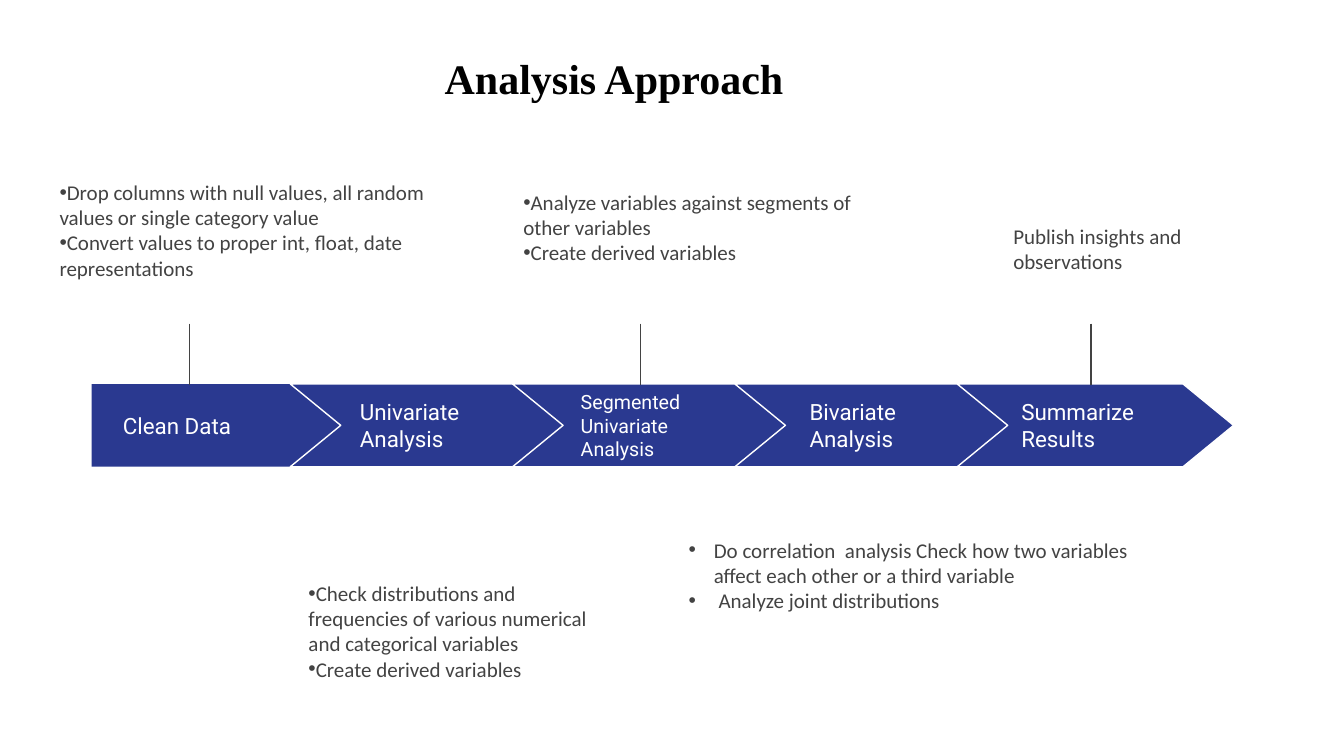
from lxml.etree import SubElement
from pptx import Presentation
from pptx.dml.color import RGBColor
from pptx.enum.shapes import MSO_CONNECTOR
from pptx.enum.text import MSO_ANCHOR, MSO_AUTO_SIZE, PP_ALIGN
from pptx.oxml.ns import qn
from pptx.util import Inches, Pt

COLORS = {
    "title": "000000",
    "body": "434343",
    "chevron": "2A3990",
    "white": "FFFFFF",
}


class ProcessSlide:
    title_font = "Times New Roman"
    body_font = "Calibri"
    label_font = "Roboto"
    band_top = 3.81
    band_height = 0.82
    point = 0.5

    def __init__(self, presentation):
        self.slide = presentation.slides.add_slide(presentation.slide_layouts[5])

    def color(self, name):
        return RGBColor.from_string(COLORS[name])

    def set_frame(self, shape, anchor):
        frame = shape.text_frame
        frame.word_wrap = True
        frame.auto_size = MSO_AUTO_SIZE.NONE
        frame.vertical_anchor = anchor
        frame.margin_left = frame.margin_right = 0
        frame.margin_top = frame.margin_bottom = 0
        return frame

    def format_paragraph(self, paragraph, font_name, size, color, bold=False):
        paragraph.alignment = PP_ALIGN.LEFT
        for run in paragraph.runs:
            run.font.name = font_name
            run.font.size = Pt(size)
            run.font.bold = bold
            run.font.color.rgb = self.color(color)

    def add_title(self, text, left, top, width, height):
        title = self.slide.shapes.title
        title.left, title.top = Inches(left), Inches(top)
        title.width, title.height = Inches(width), Inches(height)
        frame = self.set_frame(title, MSO_ANCHOR.MIDDLE)
        frame.text = text
        self.format_paragraph(frame.paragraphs[0], self.title_font, 30, "title", True)

    def add_text(self, left, top, width, height):
        box = self.slide.shapes.add_textbox(
            Inches(left), Inches(top), Inches(width), Inches(height)
        )
        return self.set_frame(box, MSO_ANCHOR.TOP)

    def add_label(self, text, left, top, width, height, size):
        frame = self.add_text(left, top, width, height)
        frame.text = text
        self.format_paragraph(frame.paragraphs[0], self.label_font, size, "white")

    def add_note(self, lines, left, top, width, height, bulleted=True, hanging=0):
        frame = self.add_text(left, top, width, height)
        frame.text = "\n".join(lines)
        for paragraph in frame.paragraphs:
            if bulleted:
                self.add_bullet(paragraph, hanging)
            self.format_paragraph(paragraph, self.body_font, 15, "body")

    def add_bullet(self, paragraph, hanging):
        properties = paragraph._p.get_or_add_pPr()
        properties.set("marL", str(Inches(hanging)))
        properties.set("indent", str(-Inches(hanging)))
        SubElement(properties, qn("a:buFont"), typeface="Arial")
        SubElement(properties, qn("a:buChar"), char="•")

    def add_step(self, left, shoulder, notched):
        top, bottom = self.band_top, self.band_top + self.band_height
        middle = (top + bottom) / 2
        corners = [(shoulder, top), (shoulder + self.point, middle), (shoulder, bottom), (left, bottom)]
        if notched:
            corners.append((left + self.point, middle))
        builder = self.slide.shapes.build_freeform(Inches(left), Inches(top), 1.0)
        builder.add_line_segments([(Inches(x), Inches(y)) for x, y in corners])
        shape = builder.convert_to_shape()
        shape.shadow.inherit = False
        shape.fill.solid()
        shape.fill.fore_color.rgb = self.color("chevron")
        if notched:
            shape.line.color.rgb = self.color("white")
            shape.line.width = Pt(1)
        else:
            shape.line.fill.background()

    def add_leader(self, x):
        line = self.slide.shapes.add_connector(
            MSO_CONNECTOR.STRAIGHT, Inches(x), Inches(3.21), Inches(x), Inches(3.82)
        )
        line.line.color.rgb = self.color("body")
        line.line.width = Pt(1)
        SubElement(line._element.spPr, qn("a:effectLst"))


def main():
    presentation = Presentation()
    presentation.slide_width = Inches(13.33)
    presentation.slide_height = Inches(7.5)
    process = ProcessSlide(presentation)

    process.add_title("Analysis Approach", 4.41, 0.48, 3.8, 0.58)

    process.add_step(0.91, 2.91, notched=False)
    for index in range(4):
        left = 2.88 + 2.205 * index
        process.add_step(left, left + 2.24, notched=True)
    for index in range(3):
        process.add_leader(1.88 + 4.47 * index)

    labels = [
        ("Clean Data", 1.22, 4.09, 1.33, 0.26, 16),
        ("Univariate Analysis", 3.57, 3.95, 1.23, 0.52, 16),
        ("Segmented Univariate Analysis", 5.76, 3.87, 1.22, 0.7, 14),
        ("Bivariate Analysis", 8.03, 3.95, 1.07, 0.52, 16),
        ("Summarize Results", 10.13, 3.95, 1.38, 0.52, 16),
    ]
    for label in labels:
        process.add_label(*label)

    process.add_note(
        [
            "Drop columns with null values, all random values or single category value",
            "Convert values to proper int, float, date representations",
        ],
        0.59, 1.78, 3.85, 1.02,
    )
    process.add_note(
        [
            "Check distributions and frequencies of various numerical and categorical variables",
            "Create derived variables",
        ],
        3.06, 5.76, 2.94, 1.02,
    )
    process.add_note(
        [
            "Analyze variables against segments of other variables",
            "Create derived variables",
        ],
        5.19, 1.88, 3.55, 0.77,
    )
    process.add_note(
        [
            "Do correlation  analysis Check how two variables affect each other or a third variable",
            " Analyze joint distributions",
        ],
        6.83, 5.33, 4.83, 0.77, hanging=0.25,
    )
    process.add_note(
        ["Publish insights and observations"],
        10.05, 2.22, 2.24, 0.52, bulleted=False,
    )

    presentation.save("out.pptx")


if __name__ == "__main__":
    main()
